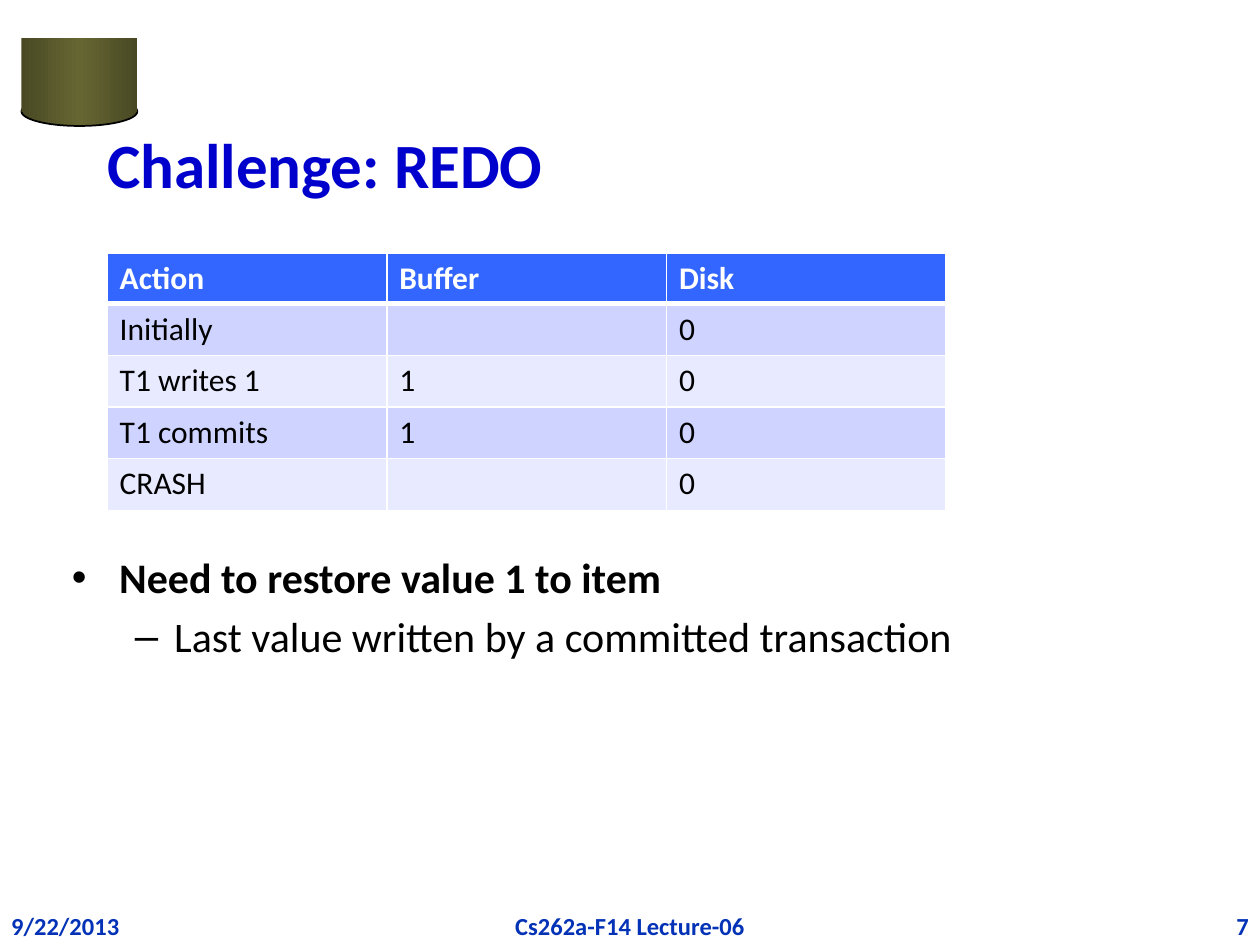
import copy

import pptx
import pptx.dml.color
import pptx.enum.shapes
import pptx.enum.text
import pptx.oxml
import pptx.oxml.ns
import pptx.util

Inches = pptx.util.Inches
Pt = pptx.util.Pt
ALIGN = pptx.enum.text.PP_ALIGN
SHAPE = pptx.enum.shapes.MSO_SHAPE

HEAD = {"size": Pt(36), "bold": True}
POINT = {"size": Pt(24), "bold": True}
DETAIL = {"size": Pt(24), "bold": False}
FOOT = {"size": Pt(14), "bold": True}
TOP_ROW = {"size": Pt(18), "bold": True}
CELL = {"size": Pt(18), "bold": False}

ROWS = [
    ("Action", "Buffer", "Disk"),
    ("Initially", "", "0"),
    ("T1 writes 1", "1", "0"),
    ("T1 commits", "1", "0"),
    ("CRASH", "", "0"),
]


def color(value):
    return pptx.dml.color.RGBColor.from_string(value)


def place(shape, left, top, width, height):
    box = {"left": left, "top": top, "width": width, "height": height}
    for name, value in box.items():
        setattr(shape, name, Inches(value))


def write(para, text, style, tint, align=ALIGN.LEFT):
    para.text = text
    para.alignment = align
    font = para.font if not text else para.runs[0].font
    font.name = "Calibri"
    font.color.rgb = color(tint)
    for name, value in style.items():
        setattr(font, name, value)


def add_drum(slide):
    """Draw the shaded cylinder from an ellipse and a rectangle."""
    for kind, top, height in ((SHAPE.OVAL, 0.77, 0.23),
                              (SHAPE.RECTANGLE, 0.3, 0.59)):
        part = slide.shapes.add_shape(
            kind, Inches(0.17), Inches(top), Inches(0.92), Inches(height))
        part.shadow.inherit = False
        part.fill.gradient()
        part.fill.gradient_angle = 0
        stops = part._element.spPr.find(".//" + pptx.oxml.ns.qn("a:gsLst"))
        stops.insert(1, copy.deepcopy(stops[0]))
        shades = ((0, "494924"), (0.5, "666633"), (1, "494924"))
        for stop, (spot, shade) in zip(part.fill.gradient_stops, shades):
            stop.position = spot
            stop.color.rgb = color(shade)
        if kind == SHAPE.OVAL:
            part.line.color.rgb = color("000000")
            part.line.width = Pt(1)
        else:
            part.line.fill.background()


def add_foot(slide, text, left, width, align):
    box = slide.shapes.add_textbox(
        Inches(left), Inches(7.18), Inches(width), Inches(0.34))
    box.text_frame.word_wrap = True
    write(box.text_frame.paragraphs[0], text, FOOT, "0332B7", align)


def add_edge(cell, side, width):
    cell._tc.get_or_add_tcPr().append(pptx.oxml.parse_xml(
        f'<a:ln{side} {pptx.oxml.ns.nsdecls("a")} w="{Pt(width)}">'
        '<a:solidFill><a:srgbClr val="FFFFFF"/></a:solidFill>'
        f'</a:ln{side}>'))


def add_grid(slide):
    frame = slide.shapes.add_table(
        len(ROWS), len(ROWS[0]),
        Inches(0.85), Inches(2.01), Inches(6.67), Inches(2.02))
    table = frame.table
    for col in table.columns:
        col.width = Inches(2.22)
    for i, row in enumerate(ROWS):
        table.rows[i].height = Inches(0.41 if i else 0.4)
        fill = ("E8EAFF", "CED3FF")[i % 2] if i else "3366FF"
        style, tint = (CELL, "000000") if i else (TOP_ROW, "FFFFFF")
        edges = {"L": 1, "R": 1, "T": 3 if i == 1 else 1, "B": 1 if i else 3}
        for j, text in enumerate(row):
            cell = table.cell(i, j)
            for side, width in edges.items():
                add_edge(cell, side, width)
            cell.fill.solid()
            cell.fill.fore_color.rgb = color(fill)
            write(cell.text_frame.paragraphs[0], text, style, tint)


def fill_title(slide):
    title = slide.shapes.title
    place(title, 0.75, 0.67, 8.5, 1.25)
    write(title.text_frame.paragraphs[0], "Challenge: REDO", HEAD, "0000CC")


def fill_body(slide):
    body = slide.placeholders[1]
    place(body, 0.47, 4.33, 8.62, 2.32)
    frame = body.text_frame
    write(frame.paragraphs[0], "Need to restore value 1 to item",
          POINT, "000000")
    para = frame.add_paragraph()
    para.level = 1
    write(para, "Last value written by a committed transaction",
          DETAIL, "000000")


def main():
    deck = pptx.Presentation()
    deck.slide_width = Inches(10)
    deck.slide_height = Inches(7.5)
    slide = deck.slides.add_slide(deck.slide_layouts[1])
    add_drum(slide)
    add_foot(slide, "9/22/2013", -0.01, 1.38, ALIGN.LEFT)
    add_foot(slide, "7", 8.63, 1.38, ALIGN.RIGHT)
    add_foot(slide, "Cs262a-F14 Lecture-06", 3.43, 3.14, ALIGN.CENTER)
    fill_title(slide)
    fill_body(slide)
    add_grid(slide)
    deck.save("out.pptx")


if __name__ == "__main__":
    main()
